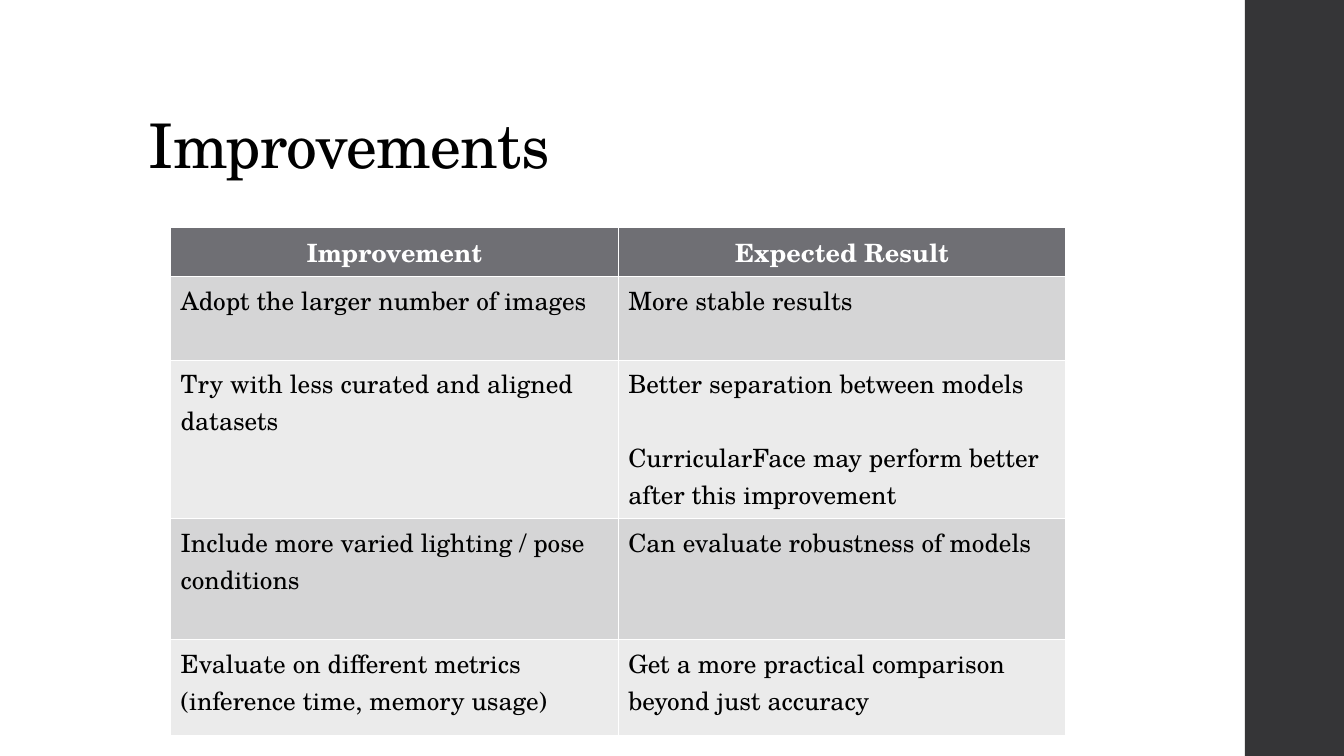
from dataclasses import dataclass

from pptx import Presentation
from pptx.dml.color import RGBColor
from pptx.enum.shapes import MSO_SHAPE
from pptx.enum.text import MSO_ANCHOR, PP_ALIGN
from pptx.util import Cm, Pt


@dataclass(frozen=True)
class Theme:
    font: str = "TeX Gyre Schola"
    title_size: Pt = Pt(44)
    table_size: Pt = Pt(18)
    blank_line: Pt = Pt(26.4)
    ink: RGBColor = RGBColor.from_string("000000")
    white: RGBColor = RGBColor.from_string("FFFFFF")
    sidebar: RGBColor = RGBColor.from_string("353537")
    header: RGBColor = RGBColor.from_string("6F6F74")
    bands: tuple = (RGBColor.from_string("D5D5D6"), RGBColor.from_string("EBEBEB"))


def style_text(paragraph, size, color, bold=False):
    paragraph.font.name = theme.font
    paragraph.font.size = size
    paragraph.font.color.rgb = color
    paragraph.font.bold = bold


theme = Theme()

# Row height in cm, then the text of each column
rows = [
    (1.19, "Improvement", "Expected Result"),
    (2.11, "Adopt the larger number of images", "More stable results"),
    (3.99, "Try with less curated and aligned datasets",
     "Better separation between models\n"
     "CurricularFace may perform better after this improvement"),
    (3.05, "Include more varied lighting / pose conditions",
     "Can evaluate robustness of models"),
    (2.42, "Evaluate on different metrics (inference time, memory usage)",
     "Get a more practical comparison beyond just accuracy"),
]

deck = Presentation()
deck.slide_width, deck.slide_height = Cm(33.87), Cm(19.05)
slide = deck.slides.add_slide(deck.slide_layouts[5])

sidebar = slide.shapes.add_shape(
    MSO_SHAPE.RECTANGLE, Cm(31.37), Cm(0), Cm(2.5), deck.slide_height)
sidebar.shadow.inherit = False
sidebar.fill.solid()
sidebar.fill.fore_color.rgb = theme.sidebar
sidebar.line.fill.background()

title = slide.shapes.title
title.left, title.top, title.width, title.height = Cm(3.5), Cm(1.02), Cm(26.92), Cm(3.68)
title.text_frame.text = "Improvements"
title.text_frame.vertical_anchor = MSO_ANCHOR.BOTTOM
heading = title.text_frame.paragraphs[0]
heading.alignment = PP_ALIGN.LEFT
heading.line_spacing = 0.9
style_text(heading, theme.title_size, theme.ink)
heading.runs[0].font._element.set("spc", "-50")

table_height = Cm(sum(height for height, *_ in rows))
improvements = slide.shapes.add_table(
    len(rows), 2, Cm(4.3), Cm(5.73), Cm(22.56), table_height).table

for row_index, (height, *texts) in enumerate(rows):
    is_header = row_index == 0
    improvements.rows[row_index].height = Cm(height)
    for column_index, text in enumerate(texts):
        cell = improvements.cell(row_index, column_index)
        cell.fill.solid()
        cell.fill.fore_color.rgb = (
            theme.header if is_header else theme.bands[(row_index - 1) % 2])
        cell.text_frame.text = text
        for position, paragraph in enumerate(cell.text_frame.paragraphs):
            paragraph.alignment = PP_ALIGN.CENTER if is_header else PP_ALIGN.LEFT
            if position:
                paragraph.space_before = theme.blank_line
            style_text(paragraph, theme.table_size,
                       theme.white if is_header else theme.ink, is_header)

deck.save("out.pptx")
